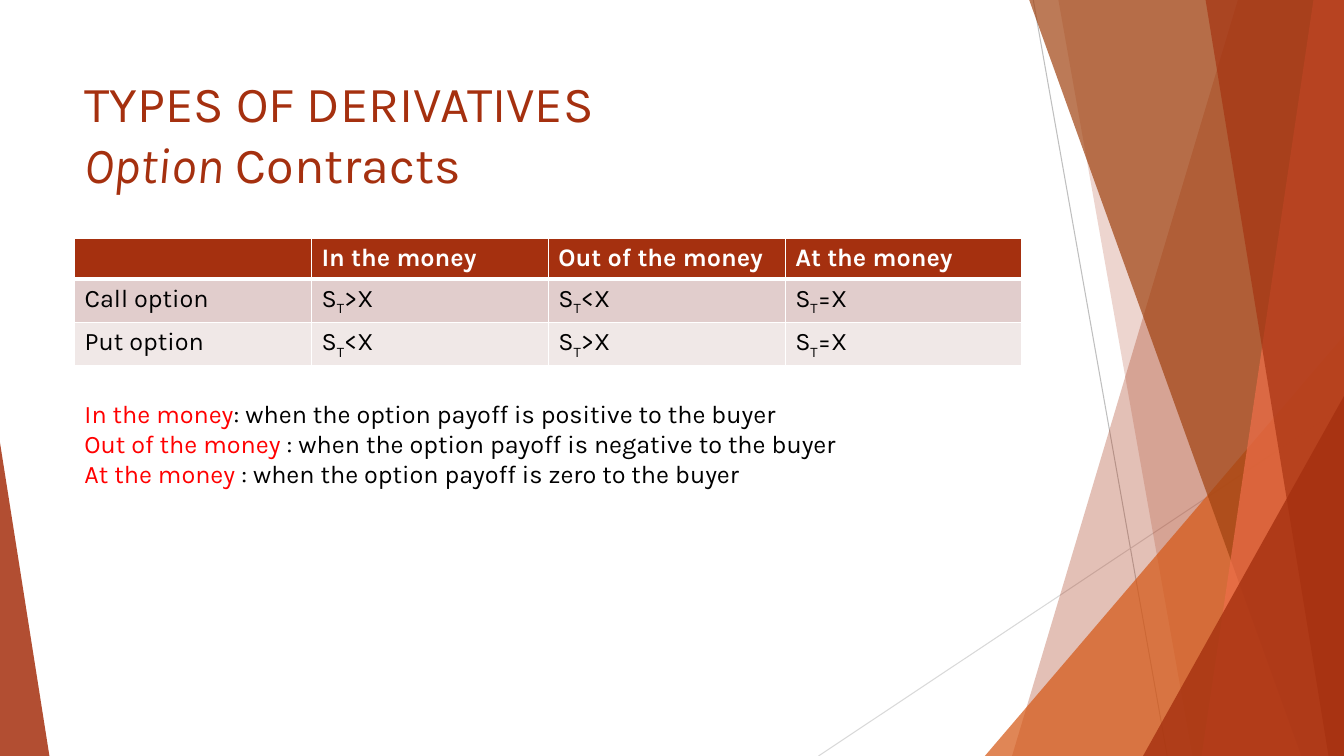
from lxml import etree
from pptx import Presentation
from pptx import util as u
from pptx.dml import color as col
from pptx.enum import shapes, text
from pptx.oxml import ns

WIDE, HIGH = u.Inches(13.33), u.Inches(7.5)
LEFT, SPAN = 5.55, 70.5
FONT = "Karla"
HUES = {
    "rust": "A5300F", "orange": "D55816", "brown": "A04210", "coral": "EE6E4A",
    "white": "FFFFFF", "black": "000000", "red": "FF0000",
    "rose": "E1CDCC", "pale": "F0E8E7", "grey": "BFBFBF", "mist": "D9D9D9",
}


def px(share):
    return u.Emu(round(WIDE * share / 100))


def py(share):
    return u.Emu(round(HIGH * share / 100))


def box(x, y, w, h):
    return px(x), py(y), px(w), py(h)


def rgb(hue):
    return col.RGBColor.from_string(HUES[hue])


def sub(node, tag, **atts):
    return etree.SubElement(node, ns.qn(tag), **atts)


def write(para, words, size=18, hue="black", bold=False, slant=False, base=0):
    run = para.add_run()
    run.text = words
    font = run.font
    font.name, font.size = FONT, u.Pt(size)
    font.bold, font.italic = bold, slant
    font.color.rgb = rgb(hue)
    if base:
        font._element.set("baseline", str(base * 1000))


def paint(shape, hue, share):
    shape.shadow.inherit = False
    shape.line.fill.background()
    shape.fill.solid()
    shape.fill.fore_color.rgb = rgb(hue)
    tint = shape.fill._xPr.find(".//" + ns.qn("a:srgbClr"))
    sub(tint, "a:alpha", val=str(share * 1000))


def wedge(slide, top, foot, hue, share):
    form = slide.shapes.build_freeform(px(top), 0, scale=1.0)
    form.add_line_segments([(WIDE, 0), (WIDE, HIGH), (px(foot), HIGH)])
    paint(form.convert_to_shape(), hue, share)


def peak(slide, x, y, w, tip, hue, share):
    kind = shapes.MSO_SHAPE.ISOSCELES_TRIANGLE
    shape = slide.shapes.add_shape(kind, *box(x, y, w, 100 - y))
    shape.adjustments[0] = tip
    paint(shape, hue, share)


def line(slide, x1, y1, x2, y2, hue):
    rule = slide.shapes.add_connector(
        shapes.MSO_CONNECTOR.STRAIGHT, px(x1), py(y1), px(x2), py(y2))
    rule.line.color.rgb = rgb(hue)
    rule.line.width = u.Pt(0.75)
    sub(rule._element.spPr, "a:effectLst")


def decor(slide):
    line(slide, 76.88, 0, 86.85, 100, "grey")
    line(slide, 100, 53.73, 60.9, 100, "mist")
    wedge(slide, 92.1, 75.3, "rust", 30)
    wedge(slide, 78.75, 88.73, "rust", 20)
    peak(slide, 73.28, 44.4, 26.72, 1, "orange", 72)
    wedge(slide, 76.58, 96.83, "brown", 70)
    wedge(slide, 97.73, 89.4, "coral", 70)
    wedge(slide, 89.7, 98.85, "rust", 65)
    peak(slide, 85.05, 52.4, 14.95, 1, "rust", 80)
    peak(slide, 0, 58.53, 3.68, 0, "rust", 85)


def head(slide):
    title = slide.shapes.title
    title.left, title.top, title.width, title.height = box(LEFT, 8.93, SPAN, 19.2)
    frame = title.text_frame
    frame.word_wrap = True
    frame.auto_size = text.MSO_AUTO_SIZE.NONE
    frame.vertical_anchor = text.MSO_ANCHOR.TOP
    para = frame.paragraphs[0]
    para.alignment = text.PP_ALIGN.LEFT
    write(para, "TYPES OF DERIVATIVES", size=36, hue="rust")
    para.add_line_break()
    write(para, "Option", size=36, hue="rust", slant=True)
    write(para, " Contracts", size=36, hue="rust")


def edge(cell, row):
    props = cell._tc.get_or_add_tcPr()
    thick = {"lnT": 3 if row == 1 else 1, "lnB": 3 if row == 0 else 1}
    for side in ("lnL", "lnR", "lnT", "lnB"):
        rule = sub(props, "a:" + side, w=str(u.Pt(thick.get(side, 1))))
        sub(sub(rule, "a:solidFill"), "a:srgbClr", val=HUES["white"])


def grid(slide):
    rows = [
        ("", "In the money", "Out of the money", "At the money"),
        ("Call option", ">", "<", "="),
        ("Put option", "<", ">", "="),
    ]
    table = slide.shapes.add_table(
        3, 4, *box(LEFT, 31.47, SPAN, 3 * 5.47)).table
    for r, (row, fill) in enumerate(zip(rows, ("rust", "rose", "pale"))):
        for c, words in enumerate(row):
            cell = table.cell(r, c)
            edge(cell, r)
            cell.fill.solid()
            cell.fill.fore_color.rgb = rgb(fill)
            para = cell.text_frame.paragraphs[0]
            para.font.size = u.Pt(18)
            if r and c:
                write(para, "S")
                write(para, "T", base=-25)
                write(para, words + "X")
            elif words:
                write(para, words, hue="black" if r else "white", bold=r == 0)


def notes(slide):
    terms = [
        ("In the money", ": when the option payoff is positive to the buyer"),
        ("Out of the money ", ": when the option payoff is negative to the buyer"),
        ("At the money ", ": when the option payoff is zero to the buyer"),
    ]
    frame = slide.shapes.add_textbox(*box(LEFT, 52, SPAN, 13.47)).text_frame
    frame.word_wrap = True
    frame.auto_size = text.MSO_AUTO_SIZE.SHAPE_TO_FIT_TEXT
    for i, (term, sense) in enumerate(terms):
        para = frame.add_paragraph() if i else frame.paragraphs[0]
        write(para, term, hue="red")
        write(para, sense)


def main():
    deck = Presentation()
    deck.slide_width, deck.slide_height = WIDE, HIGH
    slide = deck.slides.add_slide(deck.slide_layouts.get_by_name("Title Only"))
    decor(slide)
    head(slide)
    grid(slide)
    notes(slide)
    deck.save("out.pptx")


if __name__ == "__main__":
    main()
